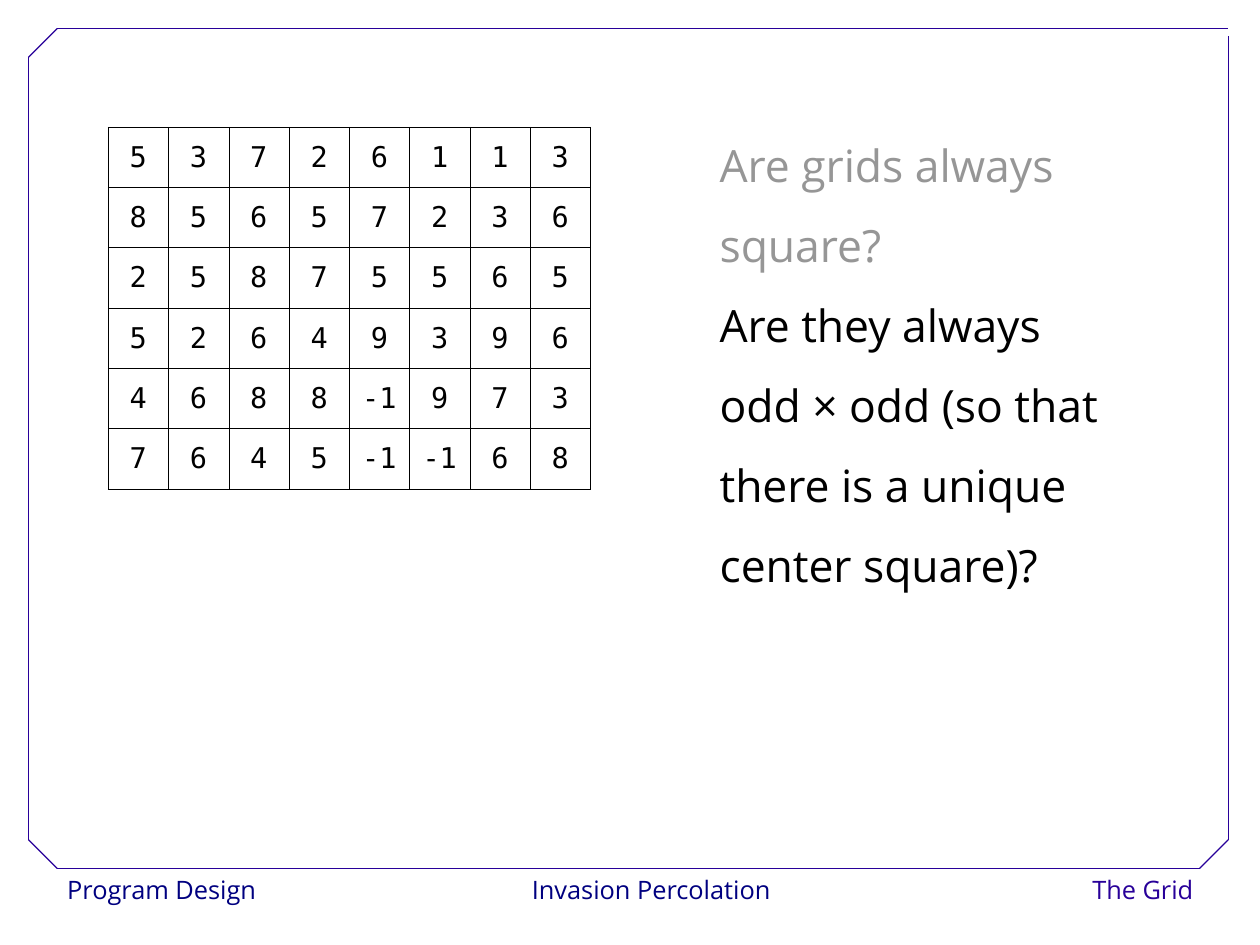
from lxml.etree import SubElement
from pptx import Presentation
from pptx.dml.color import RGBColor
from pptx.enum.shapes import MSO_CONNECTOR, MSO_SHAPE
from pptx.enum.text import MSO_ANCHOR, PP_ALIGN as ALIGN
from pptx.oxml.ns import qn
from pptx.util import Pt

SANS = "Open Sans"
MONO = "DejaVu Sans Mono"
BLACK, GRAY, WHITE = "000000", "969696", "FFFFFF"
NAVY, INDIGO = "000080", "280099"

GRID_VALUES = [
    [5, 3, 7, 2, 6, 1, 1, 3],
    [8, 5, 6, 5, 7, 2, 3, 6],
    [2, 5, 8, 7, 5, 5, 6, 5],
    [5, 2, 6, 4, 9, 3, 9, 6],
    [4, 6, 8, 8, -1, 9, 7, 3],
    [7, 6, 4, 5, -1, -1, 6, 8],
]
CELL_SIZE = 38

QUESTION_LINES = [
    ("Are grids always", GRAY),
    ("square?", GRAY),
    ("Are they always", BLACK),
    ("odd × odd (so that", BLACK),
    ("there is a unique", BLACK),
    ("center square)?", BLACK),
]

FOOTERS = [
    ("Program Design", 35.3, 129.6, ALIGN.LEFT, NAVY),
    ("Invasion Percolation", 329.6, 161.3, ALIGN.CENTER, NAVY),
    ("The Grid", 658.1, 100.8, ALIGN.RIGHT, INDIGO),
]

LEFT, TOP, RIGHT, BOTTOM = 18, 18, 773.75, 547
CORNER = 18
FRAME_LINES = [
    (LEFT + CORNER, BOTTOM, RIGHT - CORNER, BOTTOM),
    (LEFT, BOTTOM - CORNER, LEFT, TOP + CORNER),
    (LEFT + CORNER, TOP, RIGHT, TOP),
    (RIGHT, BOTTOM - CORNER, RIGHT, TOP + 5),
    (LEFT, TOP + CORNER, LEFT + CORNER, TOP),
    (RIGHT - CORNER, BOTTOM, RIGHT, BOTTOM - CORNER),
    (LEFT, BOTTOM - CORNER, LEFT + CORNER, BOTTOM),
]


def color(value):
    return RGBColor.from_string(value)


def write(para, text, font, size, text_color, align=ALIGN.LEFT, spacing=1.02):
    para.text = text
    para.alignment = align
    para.line_spacing = spacing
    for span in para.runs:
        span.font.name = font
        span.font.size = Pt(size)
        span.font.color.rgb = color(text_color)


def add_footer(page, text, left, width, align, text_color):
    box = page.shapes.add_shape(
        MSO_SHAPE.RECTANGLE, Pt(left), Pt(BOTTOM), Pt(width), Pt(28.8))
    box.shadow.inherit = False
    box.fill.solid()
    box.fill.fore_color.rgb = color(WHITE)
    box.line.fill.background()
    frame = box.text_frame
    frame.word_wrap = False
    frame.vertical_anchor = MSO_ANCHOR.TOP
    write(frame.paragraphs[0], text, SANS, 16, text_color, align)


def add_frame_line(page, *ends):
    line = page.shapes.add_connector(
        MSO_CONNECTOR.STRAIGHT, *[Pt(end) for end in ends])
    line.line.color.rgb = color(INDIGO)
    line.line.width = Pt(0.75)
    SubElement(line._element.spPr, qn("a:effectLst"))


def add_questions(page):
    box = page.shapes.add_textbox(Pt(446.25), Pt(66.4), Pt(253.4), Pt(310.3))
    frame = box.text_frame
    frame.word_wrap = False
    for index, (text, text_color) in enumerate(QUESTION_LINES):
        para = frame.add_paragraph() if index else frame.paragraphs[0]
        write(para, text, SANS, 28, text_color, spacing=1.5)


def add_borders(cell):
    properties = cell._tc.get_or_add_tcPr()
    for side in ("lnL", "lnR", "lnT", "lnB"):
        border = SubElement(properties, qn(f"a:{side}"), w=str(Pt(0.06)))
        fill = SubElement(border, qn("a:solidFill"))
        SubElement(fill, qn("a:srgbClr"), val=BLACK)


def add_grid(page):
    rows, columns = len(GRID_VALUES), len(GRID_VALUES[0])
    table = page.shapes.add_table(
        rows, columns, Pt(68.1), Pt(79.9),
        Pt(columns * CELL_SIZE), Pt(rows * CELL_SIZE)).table
    table.first_row = False
    table.horz_banding = False
    for row, values in enumerate(GRID_VALUES):
        for column, value in enumerate(values):
            cell = table.cell(row, column)
            add_borders(cell)
            cell.fill.background()
            cell.vertical_anchor = MSO_ANCHOR.MIDDLE
            write(cell.text_frame.paragraphs[0], str(value), MONO, 18, BLACK,
                  ALIGN.CENTER)


def main():
    deck = Presentation()
    deck.slide_width = Pt(793.75)
    deck.slide_height = Pt(595.25)
    page = deck.slides.add_slide(deck.slide_layouts[6])
    for footer in FOOTERS:
        add_footer(page, *footer)
    for ends in FRAME_LINES:
        add_frame_line(page, *ends)
    add_questions(page)
    add_grid(page)
    deck.save("out.pptx")


if __name__ == "__main__":
    main()
